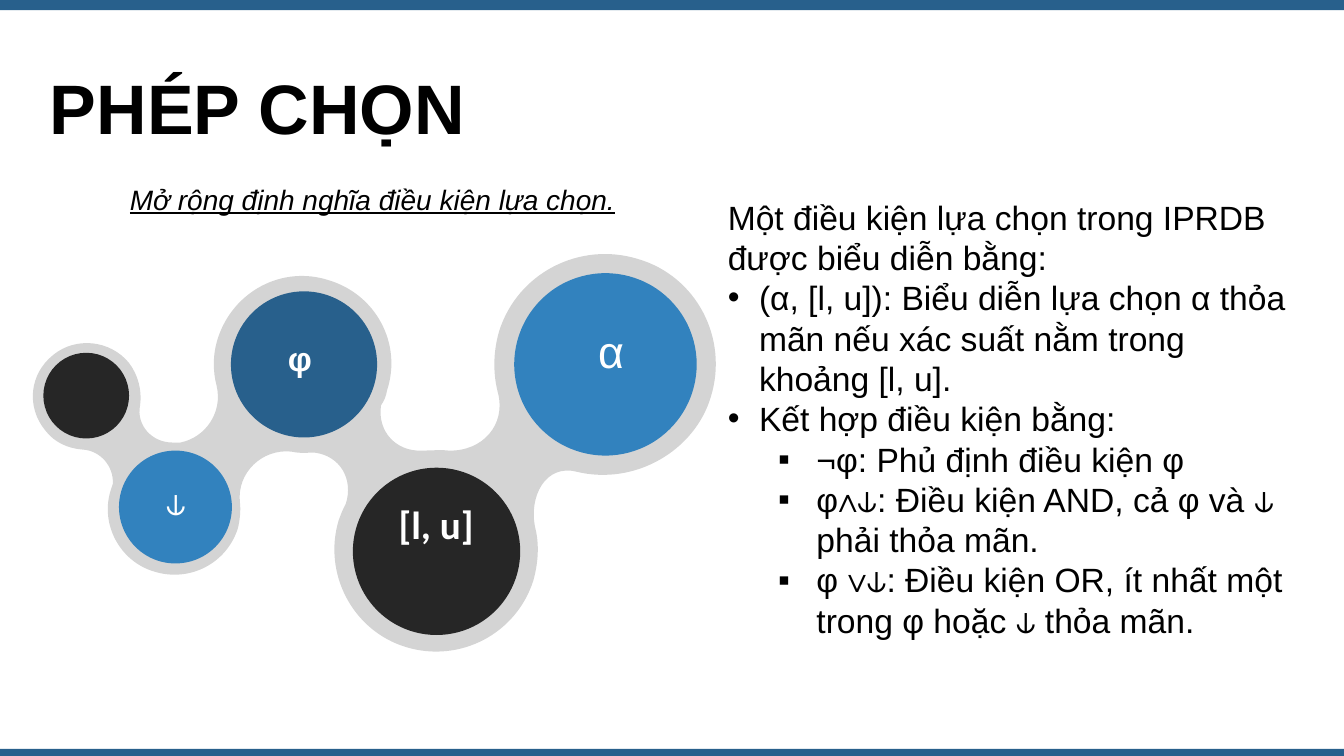
from lxml.etree import SubElement
from pptx import Presentation
from pptx.dml.color import RGBColor
from pptx.enum.shapes import MSO_SHAPE as Shape
from pptx.enum.text import MSO_ANCHOR as Anchor, MSO_AUTO_SIZE as AutoSize, PP_ALIGN as Align
from pptx.oxml.ns import qn
from pptx.util import Inches, Pt

COLORS = {
    "navy": "28608C", "blue": "3282BE", "dark": "262626",
    "gray": "D4D4D4", "white": "FFFFFF", "black": "000000",
}
WIDTH, HEIGHT = 13.33, 7.5

# Outline of the band around the circles: start, then control, control, end
BAND_START = (7.05, 3.94)
BAND_CURVES = [
    (6.89, 4.47, 6.3, 4.82, 5.72, 4.68), (5.41, 4.6, 5.24, 4.93, 5.31, 5.24),
    (5.35, 5.4, 5.34, 5.58, 5.29, 5.76), (5.12, 6.29, 4.56, 6.58, 4.03, 6.42),
    (3.5, 6.26, 3.2, 5.69, 3.36, 5.16), (3.38, 5.11, 3.4, 5.05, 3.43, 5),
    (3.43, 5, 3.43, 5, 3.43, 5),
    (3.51, 4.75, 3.37, 4.52, 3.12, 4.49), (3.04, 4.49, 2.98, 4.5, 2.89, 4.48),
    (2.89, 4.48, 2.89, 4.48, 2.89, 4.48),
    (2.6, 4.45, 2.35, 4.69, 2.38, 4.98), (2.39, 5.06, 2.38, 5.16, 2.36, 5.24),
    (2.25, 5.59, 1.88, 5.78, 1.53, 5.67), (1.19, 5.57, 0.99, 5.2, 1.1, 4.86),
    (1.11, 4.84, 1.11, 4.82, 1.12, 4.8), (1.13, 4.63, 1, 4.47, 0.82, 4.46),
    (0.82, 4.46, 0.82, 4.46, 0.82, 4.46),
    (0.68, 4.45, 0.54, 4.39, 0.45, 4.27), (0.26, 4.04, 0.29, 3.71, 0.53, 3.52),
    (0.75, 3.34, 1.09, 3.37, 1.28, 3.6), (1.37, 3.72, 1.41, 3.87, 1.39, 4.02),
    (1.39, 4.02, 1.39, 4.02, 1.39, 4.02),
    (1.35, 4.22, 1.51, 4.39, 1.71, 4.39), (1.71, 4.39, 1.71, 4.39, 1.71, 4.39),
    (1.74, 4.39, 1.76, 4.39, 1.79, 4.39),
    (2.04, 4.34, 2.21, 4.09, 2.15, 3.83), (2.11, 3.68, 2.11, 3.52, 2.16, 3.36),
    (2.31, 2.89, 2.8, 2.63, 3.26, 2.78), (3.73, 2.92, 3.99, 3.41, 3.84, 3.87),
    (3.83, 3.93, 3.81, 3.98, 3.78, 4.02), (3.74, 4.28, 3.93, 4.48, 4.18, 4.47),
    (4.29, 4.47, 4.37, 4.46, 4.45, 4.47), (4.79, 4.48, 5.02, 4.21, 4.94, 3.9),
    (4.89, 3.71, 4.89, 3.5, 4.95, 3.29), (5.13, 2.71, 5.75, 2.39, 6.33, 2.57),
    (6.91, 2.74, 7.23, 3.36, 7.05, 3.94),
]

# Left, top, diameter, colour
CIRCLES = [
    (5.1, 2.71, 1.81, "blue"), (3.5, 4.64, 1.66, "dark"), (2.29, 2.89, 1.45, "navy"),
    (1.18, 4.47, 1.12, "blue"), (0.43, 3.5, 0.85, "dark"),
]

# Text, left, top, width, height, size, font, bold
CIRCLE_LABELS = [
    ("α", 5.16, 3.16, 1.81, 0.64, 32, "Arial", False),
    ("[l, u]", 3.49, 4.91, 1.67, 0.57, 28, "Calibri", True),
    ("φ", 2.25, 3.3, 1.45, 0.5, 24, "Arial", True),
    ("⫝", 1.02, 4.73, 1.45, 0.5, 24, "Arial", True),
]

# Bullet, list level, text
CONDITIONS = [
    (None, 0, "Một điều kiện lựa chọn trong IPRDB được biểu diễn bằng:"),
    ("•", 0, "(α, [l, u]): Biểu diễn lựa chọn α thỏa mãn nếu xác suất nằm trong khoảng [l, u]."),
    ("•", 0, "Kết hợp điều kiện bằng:"),
    ("▪", 1, "¬φ: Phủ định điều kiện φ"),
    ("▪", 1, "φ∧⫝: Điều kiện AND, cả φ và ⫝ phải thỏa mãn."),
    ("▪", 1, "φ ∨⫝: Điều kiện OR, ít nhất một trong φ hoặc ⫝ thỏa mãn."),
]
INDENTS = {0: (0.31, 0.31), 1: (0.88, 0.38)}  # margin, hanging


def paint(shape, color):
    shape.shadow.inherit = False
    shape.fill.solid()
    shape.fill.fore_color.rgb = RGBColor.from_string(COLORS[color])
    shape.line.fill.background()


def add_filled(slide, kind, left, top, width, height, color):
    shape = slide.shapes.add_shape(kind, Inches(left), Inches(top), Inches(width), Inches(height))
    paint(shape, color)


def bend_segments(shape):
    """Turn every three straight segments into one cubic curve."""
    segments = list(shape._element.iter(qn("a:lnTo")))
    for first in range(0, len(segments), 3):
        triple = segments[first:first + 3]
        curve = triple[0].makeelement(qn("a:cubicBezTo"))
        triple[0].addprevious(curve)
        for segment in triple:
            curve.append(segment[0])
            segment.getparent().remove(segment)


def add_band(slide):
    builder = slide.shapes.build_freeform(*map(Inches, BAND_START))
    points = [
        (Inches(curve[i]), Inches(curve[i + 1])) for curve in BAND_CURVES for i in (0, 2, 4)
    ]
    builder.add_line_segments(points, close=True)
    band = builder.convert_to_shape()
    bend_segments(band)
    paint(band, "gray")


def add_text_frame(slide, left, top, width, height, anchor=Anchor.TOP, fit=AutoSize.SHAPE_TO_FIT_TEXT):
    box = slide.shapes.add_textbox(Inches(left), Inches(top), Inches(width), Inches(height))
    frame = box.text_frame
    frame.word_wrap = True
    frame.auto_size = fit
    frame.vertical_anchor = anchor
    return frame


def add_run(paragraph, text, size, color="black", name="Arial", bold=False, italic=False, underline=False):
    run = paragraph.add_run()
    run.text = text
    font = run.font
    font.size, font.name = Pt(size), name
    font.bold, font.italic, font.underline = bold, italic, underline
    font.color.rgb = RGBColor.from_string(COLORS[color])


def add_heading(slide, text, left, top, width, height, size, **style):
    frame = add_text_frame(slide, left, top, width, height, Anchor.MIDDLE, AutoSize.NONE)
    paragraph = frame.paragraphs[0]
    paragraph.alignment = Align.CENTER
    paragraph.line_spacing = 0.8
    add_run(paragraph, text, size, **style)


def add_circle_label(slide, text, left, top, width, height, size, name, bold):
    paragraph = add_text_frame(slide, left, top, width, height).paragraphs[0]
    paragraph.alignment = Align.CENTER
    add_run(paragraph, text, size, "white", name, bold)


def set_bullet(paragraph, bullet, level):
    margin, hanging = INDENTS[level]
    paragraph.level = level
    properties = paragraph._p.get_or_add_pPr()
    properties.set("marL", str(Inches(margin)))
    properties.set("indent", str(-Inches(hanging)))
    SubElement(properties, qn("a:buFont")).set("typeface", "Arial")
    SubElement(properties, qn("a:buChar")).set("char", bullet)


def add_conditions(slide):
    frame = add_text_frame(slide, 7.12, 1.9, 5.76, 4.95)
    for index, (bullet, level, text) in enumerate(CONDITIONS):
        paragraph = frame.add_paragraph() if index else frame.paragraphs[0]
        if bullet:
            set_bullet(paragraph, bullet, level)
        add_run(paragraph, text, 24)


def main():
    presentation = Presentation()
    presentation.slide_width, presentation.slide_height = Inches(WIDTH), Inches(HEIGHT)
    slide = presentation.slides.add_slide(presentation.slide_layouts[6])

    # Bars at the top and bottom edges
    for top, height in ((0, 0.1), (7.43, 0.07)):
        add_filled(slide, Shape.RECTANGLE, 0, top, WIDTH, height, "navy")

    # Title and subtitle
    add_heading(slide, "PHÉP CHỌN", -0.41, 0.74, 5.93, 0.78, 50, bold=True)
    add_heading(slide, "Mở rộng định nghĩa điều kiện lựa chọn.", 0.72, 1.81, 5.95, 0.39, 20,
                italic=True, underline=True)

    # Chain of circles
    add_band(slide)
    for left, top, diameter, color in CIRCLES:
        add_filled(slide, Shape.OVAL, left, top, diameter, diameter, color)
    for label in CIRCLE_LABELS:
        add_circle_label(slide, *label)

    # Explanation on the right
    add_conditions(slide)

    presentation.save("out.pptx")


if __name__ == "__main__":
    main()
